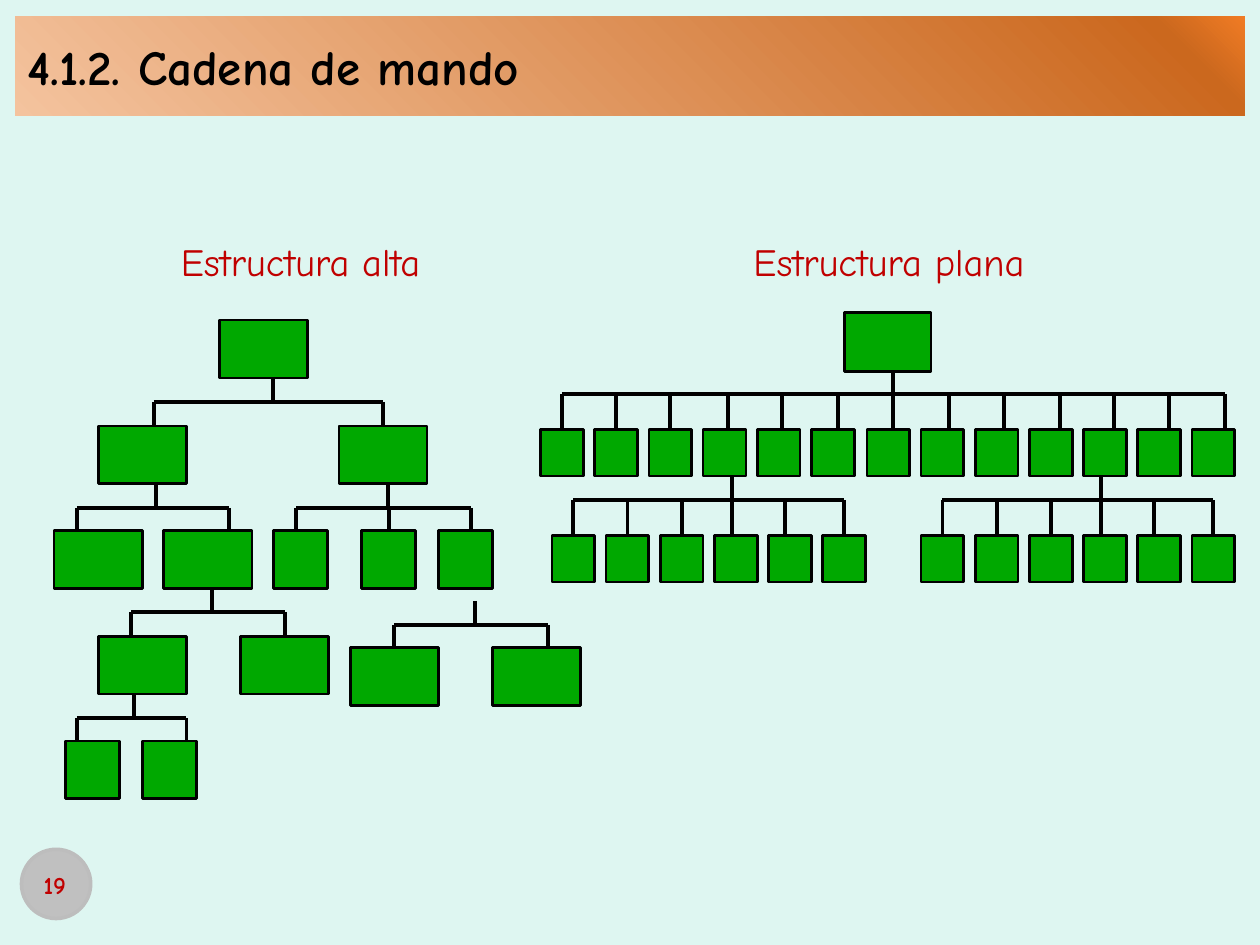
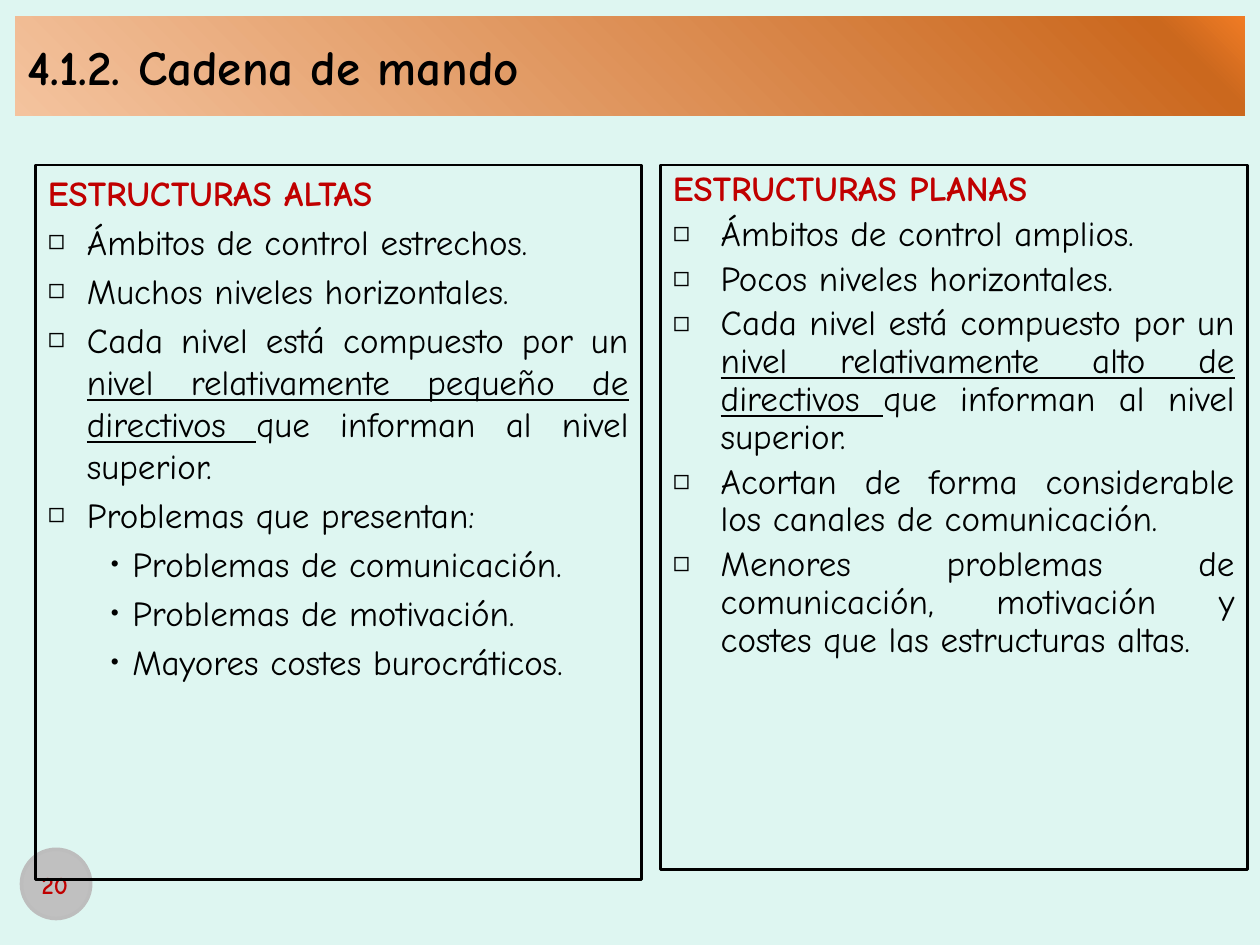
from copy import deepcopy
from dataclasses import dataclass
from typing import Any

from lxml import etree
from pptx import Presentation
from pptx import slide as sl
from pptx import util as u
from pptx.dml import color
from pptx.enum import dml, shapes, text
from pptx.oxml import ns
from pptx.shapes import base, shapetree

FONT = "Comic Neue"
BLACK, RED, GREEN = "000000", "C00000", "00A800"
BACKGROUND, BADGE_FILL, BADGE_LINE = "DEF6F1", "C0C0C0", "BDBDBD"
TITLE_STOPS = [(0, "F4C39E"), (0.93, "CB681E"), (1, "F07B24")]
TITLE = "4.1.2. Cadena de mando"
JOIN_TOLERANCE = 0.021


@dataclass
class Row:
    """Equal boxes side by side, at the given left edges."""
    lefts: list[float]
    top: float
    width: float
    height: float


@dataclass
class Branch:
    """A trunk down to a horizontal bar, with drops from the bar."""
    trunk: float
    top: float
    bar: float
    bottom: float
    drops: list[float]


@dataclass
class Chart:
    label: str
    label_left: float
    label_width: float
    rows: list[Row]
    branches: list[Branch]


@dataclass
class Bullet:
    indent: float
    hanging: float
    mark: str = ""
    percent: int = 100
    level: int = 0


@dataclass
class Item:
    bullet: Bullet
    phrases: list[str]  # every second phrase is underlined


@dataclass
class Panel:
    heading: str
    items: list[Item]
    left: float
    width: float
    height: float
    line_spacing: float


# Shared helpers
def rgb(value: str) -> color.RGBColor:
    return color.RGBColor.from_string(value)


def evenly(first: float, last: float, count: int) -> list[float]:
    step = (last - first) / (count - 1)
    return [round(first + step * i, 2) for i in range(count)]


def apply(target: Any, formats: dict[str, Any]) -> None:
    for name, value in formats.items():
        setattr(target, name, value)


def place(shape: base.BaseShape, left: float, top: float, width: float, height: float) -> None:
    box = dict(left=left, top=top, width=width, height=height)
    apply(shape, {name: u.Inches(value) for name, value in box.items()})


def outline(line: Any, value: str, points: float) -> None:
    line.color.rgb = rgb(value)
    line.width = u.Pt(points)


def add_run(paragraph: Any, words: str, size: int, value: str, **formats: Any) -> None:
    run = paragraph.add_run()
    run.text = words
    apply(run.font, dict(name=FONT, size=u.Pt(size), **formats))
    run.font.color.rgb = rgb(value)


def bring_to_front(shape: base.BaseShape) -> None:
    shape.element.getparent().append(shape.element)


def add_box(tree: Any, kind: Any, box: tuple[float, ...], fill: str, line: str, points: float) -> Any:
    shape = tree.add_shape(kind, *map(u.Inches, box))
    shape.shadow.inherit = False
    shape.fill.solid()
    shape.fill.fore_color.rgb = rgb(fill)
    outline(shape.line, line, points)
    return shape


def add_label(tree: Any, words: str, box: tuple[float, ...], size: int, wrap: bool, bold: bool) -> None:
    frame = tree.add_textbox(*map(u.Inches, box)).text_frame
    apply(frame, dict(word_wrap=wrap, vertical_anchor=text.MSO_ANCHOR.MIDDLE))
    frame.paragraphs[0].alignment = text.PP_ALIGN.CENTER
    add_run(frame.paragraphs[0], words, size, RED, bold=bold)


# Title band and page number, the same on every slide
def add_page_number(slide: sl.Slide, number: int) -> None:
    add_box(slide.shapes, shapes.MSO_SHAPE.OVAL, (0.17, 6.74, 0.55, 0.55),
            BADGE_FILL, BADGE_LINE, 2)
    add_label(slide.shapes, str(number), (0.04, 6.82, 0.79, 0.4), 14, True, True)


def format_title(slide: sl.Slide) -> None:
    title = slide.shapes.title
    place(title, 0.12, 0.13, 9.76, 0.79)
    title.fill.gradient()
    title.fill.gradient_angle = 45
    stop_list = title.element.find(".//" + ns.qn("a:gsLst"))
    stop_list.append(deepcopy(stop_list[-1]))
    for stop, (position, value) in zip(title.fill.gradient_stops, TITLE_STOPS):
        stop.position = position
        stop.color.rgb = rgb(value)
    frame = title.text_frame
    apply(frame, dict(vertical_anchor=text.MSO_ANCHOR.MIDDLE,
                      auto_size=text.MSO_AUTO_SIZE.NONE))
    frame.paragraphs[0].alignment = text.PP_ALIGN.JUSTIFY
    add_run(frame.paragraphs[0], TITLE, 28, BLACK, bold=True)
    bring_to_front(title)


def new_slide(presentation: Any, layout: int, number: int) -> sl.Slide:
    slide = presentation.slides.add_slide(presentation.slide_layouts[layout])
    add_page_number(slide, number)
    format_title(slide)
    return slide


# Organisation charts
def add_line(tree: shapetree.GroupShapes, x1: float, y1: float, x2: float, y2: float) -> Any:
    line = tree.add_connector(shapes.MSO_CONNECTOR.STRAIGHT, *map(u.Inches, (x1, y1, x2, y2)))
    outline(line.line, BLACK, 2.25)
    etree.SubElement(line.element.spPr, ns.qn("a:effectLst"))
    return line


def add_drop(tree: shapetree.GroupShapes, x: float, branch: Branch, boxes: list[Any]) -> None:
    for box in boxes:
        centre = (box.left + box.width / 2) / u.Inches(1)
        gap = abs(box.top / u.Inches(1) - branch.bottom)
        if max(abs(centre - x), gap) < JOIN_TOLERANCE:
            add_line(tree, centre, branch.bar, centre, branch.bottom).end_connect(box, 0)
            return
    add_line(tree, x, branch.bar, x, branch.bottom)


def add_organisation(slide: sl.Slide, chart: Chart) -> None:
    tree = slide.shapes.add_group_shape().shapes
    boxes = [add_box(tree, shapes.MSO_SHAPE.RECTANGLE, (left, row.top, row.width, row.height),
                     GREEN, BLACK, 1.5)
             for row in chart.rows for left in row.lefts]
    for branch in chart.branches:
        add_line(tree, branch.drops[0], branch.bar, branch.drops[-1], branch.bar)
        add_line(tree, branch.trunk, branch.top, branch.trunk, branch.bar)
        for x in branch.drops:
            add_drop(tree, x, branch, boxes)
    add_label(tree, chart.label, (chart.label_left, 1.84, chart.label_width, 0.47), 22, False, False)


TALL = Chart(
    "Estructura alta", 1.18, 2.41,
    rows=[
        Row([1.74], 2.54, 0.7, 0.46),
        Row([0.78, 2.69], 3.38, 0.7, 0.46),
        Row([0.43, 1.3], 4.21, 0.7, 0.46),
        Row([2.17, 2.87, 3.48], 4.21, 0.43, 0.46),
        Row([0.78, 1.91], 5.05, 0.7, 0.46),
        Row([2.78, 3.91], 5.14, 0.7, 0.46),
        Row([0.52, 1.13], 5.88, 0.43, 0.46),
    ],
    branches=[
        Branch(2.17, 3.01, 3.19, 3.38, [1.22, 3.04]),
        Branch(1.24, 3.84, 4.03, 4.21, [0.61, 1.82]),
        Branch(3.08, 3.84, 4.03, 4.21, [2.35, 3.08, 3.74]),
        Branch(1.68, 4.68, 4.86, 5.05, [1.04, 2.26]),
        Branch(3.77, 4.77, 4.96, 5.14, [3.13, 4.35]),
        Branch(1.06, 5.51, 5.7, 5.88, [0.61, 1.48]),
    ])

TEAM_LEFTS = [4.38, 7.31]
FLAT = Chart(
    "Estructura plana", 5.76, 2.59,
    rows=[
        Row([6.7], 2.48, 0.69, 0.47),
        Row(evenly(4.29, 9.46, 13), 3.41, 0.34, 0.37),
        *(Row(evenly(left, left + 2.15, 6), 4.25, 0.34, 0.37) for left in TEAM_LEFTS),
    ],
    branches=[
        Branch(7.09, 2.95, 3.13, 3.41, evenly(4.46, 9.72, 13)),
        *(Branch(left + 1.43, 3.78, 3.97, 4.25,
                 evenly(left + 0.17, left + 1.85, 5) + [left + 2.32]) for left in TEAM_LEFTS),
    ])


# Text panels
HEADING = Bullet(0.38, 0.38)
NARROW = Bullet(0.31, 0.31, "◻", 80)
WIDE = Bullet(0.38, 0.38, "◻", 80)
SUB = Bullet(0.67, 0.17, "•", 65, level=1)

FLAT_PANEL = Panel("ESTRUCTURAS PLANAS", [
    Item(WIDE, ["Ámbitos de control amplios."]),
    Item(WIDE, ["Pocos niveles horizontales."]),
    Item(WIDE, ["Cada nivel está compuesto por un ", "nivel relativamente alto de directivos ",
                "que informan al nivel superior."]),
    Item(WIDE, ["Acortan de forma considerable los canales de comunicación."]),
    Item(WIDE, ["Menores problemas de comunicación, motivación y costes que las "
                "estructuras altas."]),
], left=5.24, width=4.66, height=5.59, line_spacing=0.9)

TALL_PANEL = Panel("ESTRUCTURAS ALTAS", [
    Item(NARROW, ["Ámbitos de control estrechos."]),
    Item(NARROW, ["Muchos niveles horizontales."]),
    Item(NARROW, ["Cada nivel está compuesto por un ", "nivel relativamente pequeño de directivos ",
                  "que informan al nivel superior."]),
    Item(NARROW, ["Problemas que presentan:"]),
    Item(SUB, ["Problemas de comunicación."]),
    Item(SUB, ["Problemas de motivación."]),
    Item(SUB, ["Mayores costes burocráticos."]),
], left=0.28, width=4.81, height=5.67, line_spacing=1.0)


def format_paragraph(paragraph: Any, bullet: Bullet, spacing: float, before: int) -> None:
    apply(paragraph, dict(alignment=text.PP_ALIGN.JUSTIFY, level=bullet.level,
                          line_spacing=spacing, space_before=u.Pt(before)))
    properties = paragraph._p.get_or_add_pPr()
    properties.set("marL", str(u.Inches(bullet.indent)))
    properties.set("indent", str(-u.Inches(bullet.hanging)))
    if not bullet.mark:
        etree.SubElement(properties, ns.qn("a:buNone"))
        return
    bullet_color = etree.SubElement(properties, ns.qn("a:buClr"))
    etree.SubElement(bullet_color, ns.qn("a:srgbClr"), val=BLACK)
    etree.SubElement(properties, ns.qn("a:buSzPct"), val=str(bullet.percent * 1000))
    etree.SubElement(properties, ns.qn("a:buChar"), char=bullet.mark)


def fill_panel(shape: Any, panel: Panel) -> None:
    place(shape, panel.left, 1.31, panel.width, panel.height)
    shape.fill.background()
    outline(shape.line, BLACK, 1.5)
    shape.line.dash_style = dml.MSO_LINE.SOLID
    frame = shape.text_frame
    frame.auto_size = text.MSO_AUTO_SIZE.NONE
    heading = frame.paragraphs[0]
    format_paragraph(heading, HEADING, panel.line_spacing, 0)
    add_run(heading, panel.heading, 20, RED, bold=True)
    for item in panel.items:
        paragraph = frame.add_paragraph()
        format_paragraph(paragraph, item.bullet, panel.line_spacing, 4)
        for index, phrase in enumerate(item.phrases):
            add_run(paragraph, phrase, 20, BLACK, underline=index % 2 == 1)
    bring_to_front(shape)


def main() -> None:
    presentation = Presentation()
    apply(presentation, dict(slide_width=u.Inches(10), slide_height=u.Inches(7.5)))
    background = presentation.slide_master.background.fill
    background.solid()
    background.fore_color.rgb = rgb(BACKGROUND)

    # Slide 19: tall and flat charts
    charts = new_slide(presentation, 5, 19)
    for chart in (TALL, FLAT):
        add_organisation(charts, chart)

    # Slide 20: tall and flat structures compared
    comparison = new_slide(presentation, 3, 20)
    for index, panel in enumerate((TALL_PANEL, FLAT_PANEL), start=1):
        fill_panel(comparison.placeholders[index], panel)

    presentation.save("out.pptx")


if __name__ == "__main__":
    main()
